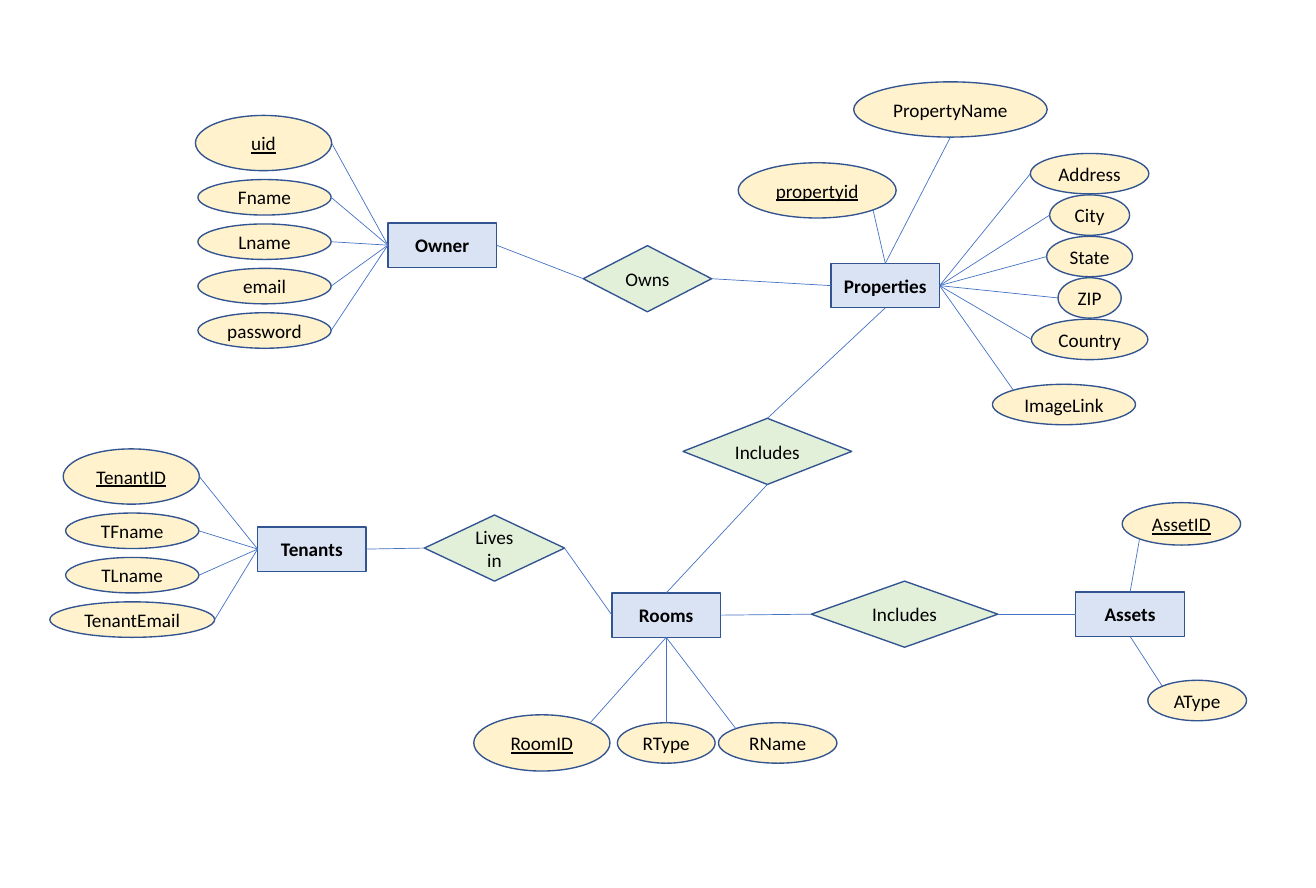
from math import hypot

from lxml import etree
from pptx import Presentation
from pptx.dml.color import RGBColor
from pptx.enum.shapes import MSO_CONNECTOR, MSO_SHAPE
from pptx.enum.text import MSO_ANCHOR, PP_ALIGN
from pptx.oxml.ns import qn
from pptx.util import Inches, Pt

OVAL = MSO_SHAPE.OVAL
RECTANGLE = MSO_SHAPE.RECTANGLE
DECISION = MSO_SHAPE.FLOWCHART_DECISION
STRAIGHT = MSO_CONNECTOR.STRAIGHT
MIDDLE = MSO_ANCHOR.MIDDLE
CENTER = PP_ALIGN.CENTER
TOP, LEFT, BOTTOM, RIGHT = range(4)

TO_TOP, TO_LEFT, TO_BOTTOM, TO_RIGHT = (0, -1), (-1, 0), (0, 1), (1, 0)
TO_TOP_LEFT, TO_TOP_RIGHT = (-1, -1), (1, -1)
TO_BOTTOM_LEFT, TO_BOTTOM_RIGHT = (-1, 1), (1, 1)


def color(code):
    return RGBColor.from_string(code)


class Diagram:
    font, size, ink = "Calibri", 14, "000000"
    outline, link_color = "325491", "4472C4"
    entity_fill, attribute_fill, relation_fill = "DAE3F3", "FFF2CC", "E2F0D9"

    def __init__(self, page):
        self.page = page

    def node(self, kind, label, left, top, width, height, fill, bold=None, underline=None):
        box = self.page.shapes.add_shape(
            kind, Inches(left), Inches(top), Inches(width), Inches(height))
        box.shadow.inherit = False
        box.fill.solid()
        box.fill.fore_color.rgb = color(fill)
        box.line.color.rgb = color(self.outline)
        box.line.width = Pt(1)
        frame = box.text_frame
        frame.text = label
        frame.word_wrap = " " in label
        frame.vertical_anchor = MIDDLE
        para = frame.paragraphs[0]
        para.alignment = CENTER
        font = para.runs[0].font
        font.name, font.size = self.font, Pt(self.size)
        font.color.rgb = color(self.ink)
        font.bold, font.underline = bold, underline
        return box

    def entity(self, label, left, top):
        return self.node(RECTANGLE, label, left, top, 1.1, 0.45, self.entity_fill, bold=True)

    def relation(self, label, left, top, width):
        return self.node(DECISION, label, left, top, width, 0.67, self.relation_fill)

    def attribute(self, label, center, size, toward, entity, side, key=None):
        (x, y), (width, height) = center, size
        self.node(OVAL, label, x - width / 2, y - height / 2, width, height,
                  self.attribute_fill, underline=key)
        reach = 2 * hypot(*toward)
        start = x + width * toward[0] / reach, y + height * toward[1] / reach
        self.connector(start).end_connect(entity, side)

    def connector(self, start=(0, 0)):
        x, y = map(Inches, start)
        line = self.page.shapes.add_connector(STRAIGHT, x, y, x, y)
        line.line.color.rgb = color(self.link_color)
        line.line.width = Pt(0.5)
        etree.SubElement(line._element.spPr, qn("a:effectLst"))
        return line

    def link(self, first, first_side, second, second_side):
        line = self.connector()
        line.begin_connect(first, first_side)
        line.end_connect(second, second_side)

    def person(self, entity, x, top, key, fields):
        self.attribute(key, (x, top + 0.28), (1.38, 0.56), TO_RIGHT, entity, LEFT, key=True)
        for row, (label, width) in enumerate(fields):
            center = x + 0.01, top + 0.83 + 0.45 * row
            self.attribute(label, center, (width, 0.36), TO_RIGHT, entity, LEFT)


deck = Presentation()
deck.slide_width, deck.slide_height = Inches(40 / 3), Inches(9)
page = deck.slides.add_slide(deck.slide_layouts[6])
diagram = Diagram(page)

owner = diagram.entity("Owner", 3.93, 2.26)
tenants = diagram.entity("Tenants", 2.61, 5.34)
properties = diagram.entity("Properties", 8.42, 2.67)
rooms = diagram.entity("Rooms", 6.2, 6.01)
assets = diagram.entity("Assets", 10.9, 6)

owns = diagram.relation("Owns", 5.91, 2.49, 1.3)
lives_in = diagram.relation("Lives in", 4.3, 5.22, 1.42)
includes_rooms = diagram.relation("Includes", 6.92, 4.24, 1.71)
includes_assets = diagram.relation("Includes", 8.22, 5.89, 1.89)

for first, first_side, second, second_side in (
    (owner, RIGHT, owns, LEFT),
    (owns, RIGHT, properties, LEFT),
    (includes_rooms, TOP, properties, BOTTOM),
    (rooms, TOP, includes_rooms, BOTTOM),
    (rooms, LEFT, lives_in, RIGHT),
    (lives_in, LEFT, tenants, RIGHT),
    (rooms, RIGHT, includes_assets, LEFT),
    (includes_assets, RIGHT, assets, LEFT),
):
    diagram.link(first, first_side, second, second_side)

diagram.person(owner, 2.67, 1.17, "uid", (
    ("Fname", 1.35), ("Lname", 1.35), ("email", 1.35), ("password", 1.35)))
diagram.person(tenants, 1.33, 4.55, "TenantID", (
    ("TFname", 1.35), ("TLname", 1.35), ("TenantEmail", 1.67)))

address_parts = (
    ("Address", 1.2), ("City", 0.81), ("State", 0.87), ("ZIP", 0.64), ("Country", 1.18))
for row, (label, width) in enumerate(address_parts):
    diagram.attribute(label, (11.04, 1.76 + 0.42 * row), (width, 0.41), TO_LEFT,
                      properties, RIGHT)

for label, center, size, toward, entity, side, key in (
    ("propertyid", (8.28, 1.93), (1.6, 0.56), TO_BOTTOM_RIGHT, properties, TOP, True),
    ("PropertyName", (9.63, 1.11), (1.96, 0.56), TO_BOTTOM, properties, TOP, None),
    ("ImageLink", (10.78, 4.1), (1.45, 0.41), TO_TOP_LEFT, properties, RIGHT, None),
    ("RoomID", (5.49, 7.53), (1.38, 0.57), TO_TOP_RIGHT, rooms, BOTTOM, True),
    ("RType", (6.75, 7.53), (0.99, 0.41), TO_TOP, rooms, BOTTOM, None),
    ("RName", (7.88, 7.53), (1.2, 0.41), TO_TOP_LEFT, rooms, BOTTOM, None),
    ("AssetID", (11.97, 5.31), (1.2, 0.43), TO_BOTTOM_LEFT, assets, TOP, True),
    ("AType", (12.13, 7.1), (1, 0.41), TO_TOP_LEFT, assets, BOTTOM, None),
):
    diagram.attribute(label, center, size, toward, entity, side, key)

deck.save("out.pptx")
